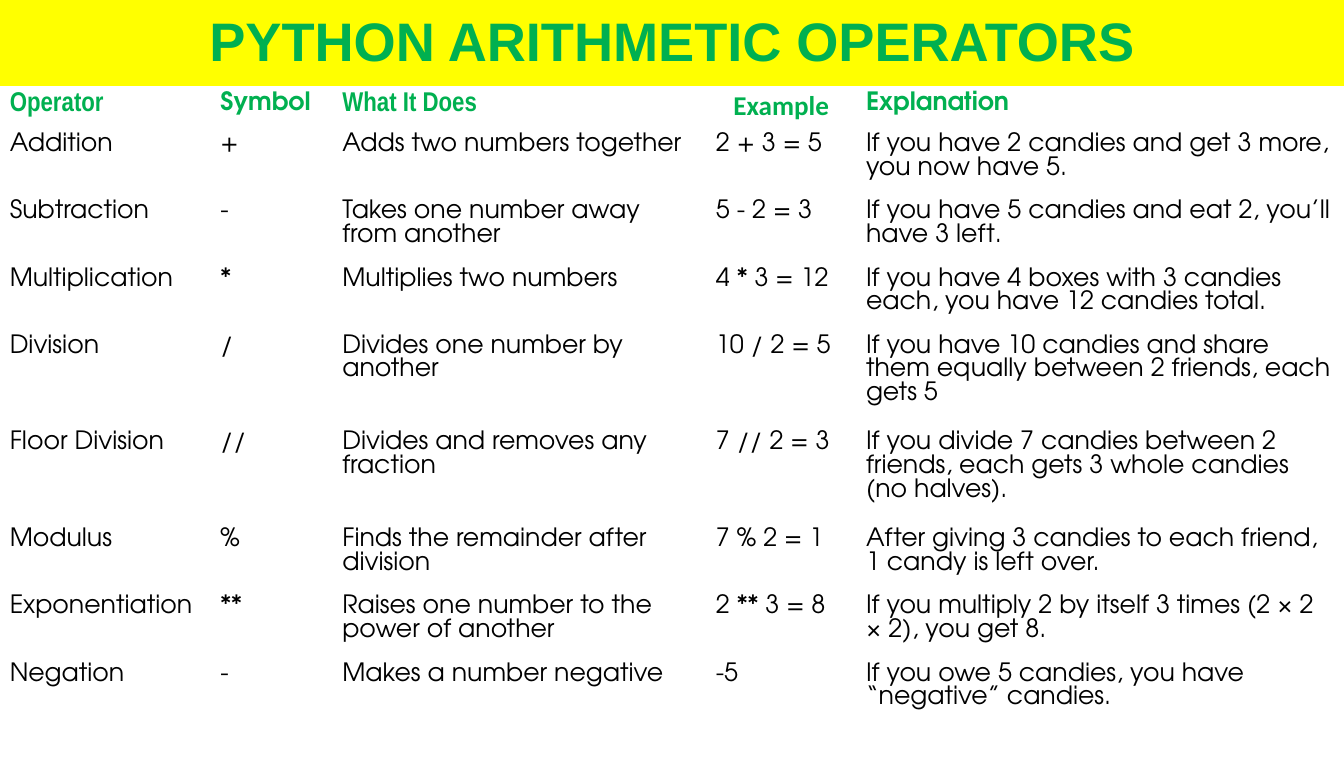
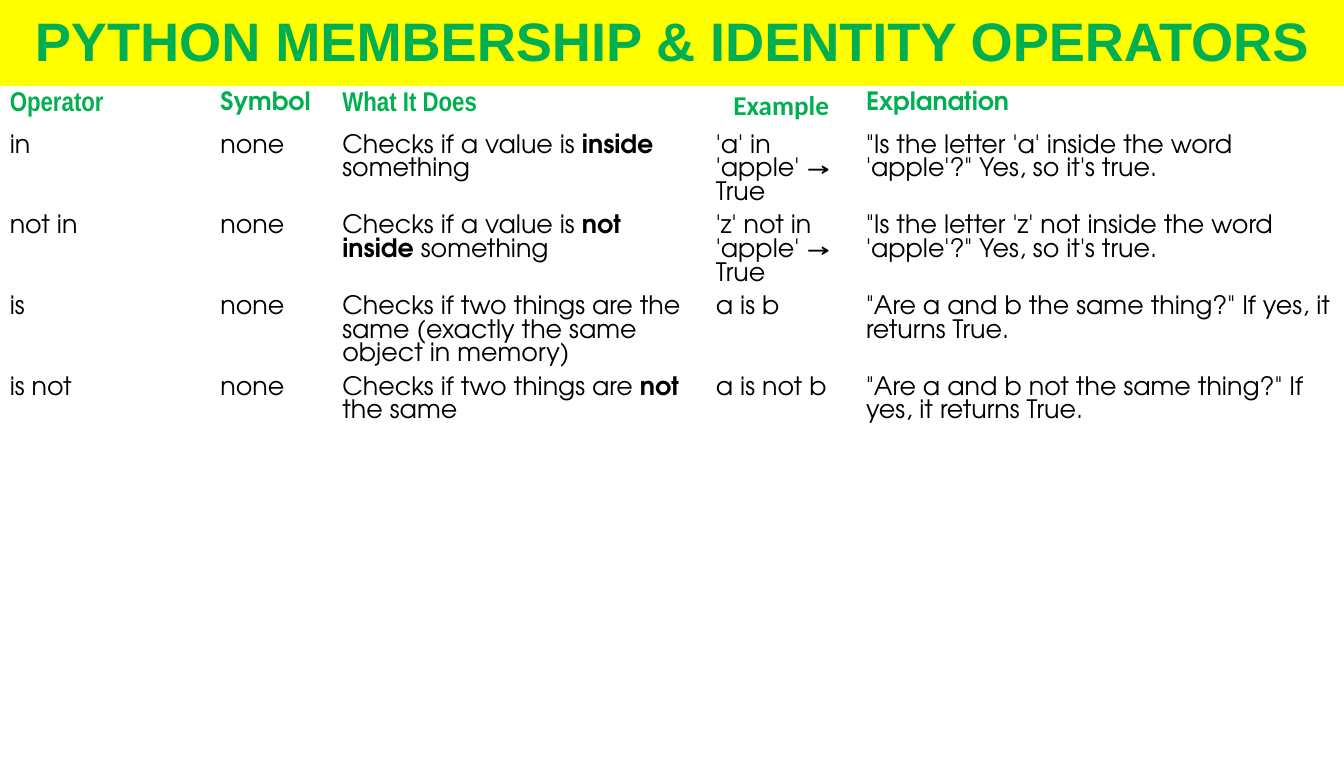
from dataclasses import dataclass
from typing import Any

from lxml.etree import SubElement
from pptx import Presentation
from pptx.dml.color import RGBColor
from pptx.enum.shapes import MSO_SHAPE as Shape
from pptx.enum.text import MSO_ANCHOR as Anchor, PP_ALIGN as Align
from pptx.oxml.ns import qn
from pptx.util import Inches, Pt

WIDE, HIGH, BAND = 13.78, 7.87, 0.89
COLS = (2.16, 1.25, 3.83, 1.54, 5)
GREEN, YELLOW, WHITE, BLACK = "00B050", "FFFF00", "FFFFFF", "000000"
BODY = "TeX Gyre Adventor"
MARK = "|"


@dataclass(frozen=True)
class Head:
    text: str
    font: str = BODY
    size: float = 18.6
    inset: bool = False


@dataclass(frozen=True)
class Page:
    title: str
    size: float
    tall: tuple[float, ...]
    rows: tuple[tuple[str, ...], ...]


HEADS = (
    Head("Operator", "Arial Narrow", 20),
    Head("Symbol"),
    Head("What It Does", "Arial Narrow", 20),
    Head("Example", "Calibri", 20, True),
    Head("Explanation"),
)

PAGES = (
    Page(
        "PYTHON ARITHMETIC OPERATORS",
        18.6,
        (0.42, 0.69, 0.69, 0.69, 0.99, 0.99, 0.69, 0.69, 0.39, 0.39),
        (
            ("Addition", "+", "Adds two numbers together", "2 + 3 = 5",
             "If you have 2 candies and get 3 more, you now have 5."),
            ("Subtraction", "-", "Takes one number away from another", "5 - 2 = 3",
             "If you have 5 candies and eat 2, you’ll have 3 left."),
            ("Multiplication", "*", "Multiplies two numbers", "4 * 3 = 12",
             "If you have 4 boxes with 3 candies each, you have 12 candies total."),
            ("Division", "/", "Divides one number by another", "10 / 2 = 5",
             "If you have 10 candies and share them equally between 2 friends, each gets 5"),
            ("Floor Division", "//", "Divides and removes any fraction", "7 // 2 = 3",
             "If you divide 7 candies between 2 friends, each gets 3 whole candies (no halves)."),
            ("Modulus", "%", "Finds the remainder after division", "7 % 2 = 1",
             "After giving 3 candies to each friend, 1 candy is left over."),
            ("Exponentiation", "**", "Raises one number to the power of another", "2 ** 3 = 8",
             "If you multiply 2 by itself 3 times (2 × 2 × 2), you get 8."),
            ("Negation", "-", "Makes a number negative", "-5",
             "If you owe 5 candies, you have “negative” candies."),
        ),
    ),
    Page(
        "PYTHON MEMBERSHIP & IDENTITY OPERATORS",
        18.7,
        (0.44, 0.74, 0.74, 0.74, 1.02, 1.02, 0.74, 0.71, 0.42, 0.42),
        (
            ("in", "none", "Checks if a value is |inside| something",
             "'a' in 'apple' → True",
             "\"Is the letter 'a' inside the word 'apple'?\" Yes, so it's true."),
            ("not in", "none", "Checks if a value is |not inside| something",
             "'z' not in 'apple' → True",
             "\"Is the letter 'z' not inside the word 'apple'?\" Yes, so it's true."),
            ("is", "none",
             "Checks if two things are the same (exactly the same object in memory)",
             "a is b",
             "\"Are a and b the same thing?\" If yes, it returns True."),
            ("is not", "none", "Checks if two things are |not| the same",
             "a is not b",
             "\"Are a and b not the same thing?\" If yes, it returns True."),
        ),
    ),
)


def color(code: str) -> RGBColor:
    return RGBColor.from_string(code)


def paint(item: Any, code: str) -> None:
    item.fill.solid()
    item.fill.fore_color.rgb = color(code)


def write(frame: Any, text: str, *, size: float, font: str = BODY, ink: str = BLACK,
          bold: bool = False, align: Any = Align.LEFT, line: float = 1.0,
          after: float = 0) -> None:
    para = frame.paragraphs[0]
    para.alignment = align
    para.line_spacing = line
    para.space_after = Pt(after)
    for turn, part in enumerate(text.split(MARK)):
        run = para.add_run()
        run.text = part
        run.font.name = font
        run.font.size = Pt(size)
        run.font.bold = bold or turn % 2 == 1
        run.font.color.rgb = color(ink)


def edge(cell: Any, base: float = 1) -> None:
    props = cell._tc.get_or_add_tcPr()
    for side, width in (("L", 1), ("R", 1), ("T", 1), ("B", base)):
        line = SubElement(props, qn(f"a:ln{side}"), w=str(Pt(width)))
        fill = SubElement(line, qn("a:solidFill"))
        SubElement(fill, qn("a:srgbClr"), val=WHITE)


def banner(slide: Any, title: str) -> None:
    band = slide.shapes.add_shape(Shape.RECTANGLE, 0, 0, Inches(WIDE), Inches(BAND))
    band.shadow.inherit = False
    paint(band, YELLOW)
    band.line.fill.background()
    frame = band.text_frame
    frame.word_wrap = True
    frame.vertical_anchor = Anchor.MIDDLE
    write(frame, title, size=40, font="Arial", ink=GREEN, bold=True,
          align=Align.CENTER, line=0.9)


def header(cell: Any, head: Head) -> None:
    edge(cell, 3)
    paint(cell, WHITE)
    look: dict[str, Any] = {}
    if head.inset:
        cell.margin_left = cell.margin_right = Inches(0.07)
        cell.margin_top = cell.margin_bottom = 0
        look = {"align": Align.CENTER, "line": 1.07, "after": 8}
    write(cell.text_frame, head.text, size=head.size, font=head.font, ink=GREEN,
          bold=True, **look)


def grid(slide: Any, page: Page) -> None:
    table = slide.shapes.add_table(
        len(page.tall), len(COLS), 0, Inches(BAND), Inches(WIDE), Inches(sum(page.tall))
    ).table
    table.horz_banding = False
    for col, width in zip(table.columns, COLS):
        col.width = Inches(width)
    for row, height in zip(table.rows, page.tall):
        row.height = Inches(height)
    for spot, head in enumerate(HEADS):
        header(table.cell(0, spot), head)
    for rank in range(1, len(page.tall)):
        for spot in range(len(COLS)):
            cell = table.cell(rank, spot)
            edge(cell)
            paint(cell, WHITE)
            if rank <= len(page.rows):
                write(cell.text_frame, page.rows[rank - 1][spot], size=page.size)


def main() -> None:
    deck = Presentation()
    deck.slide_width, deck.slide_height = Inches(WIDE), Inches(HIGH)
    for page in PAGES:
        slide = deck.slides.add_slide(deck.slide_layouts[6])
        paint(slide.background, WHITE)
        banner(slide, page.title)
        grid(slide, page)
    deck.save("out.pptx")


if __name__ == "__main__":
    main()
